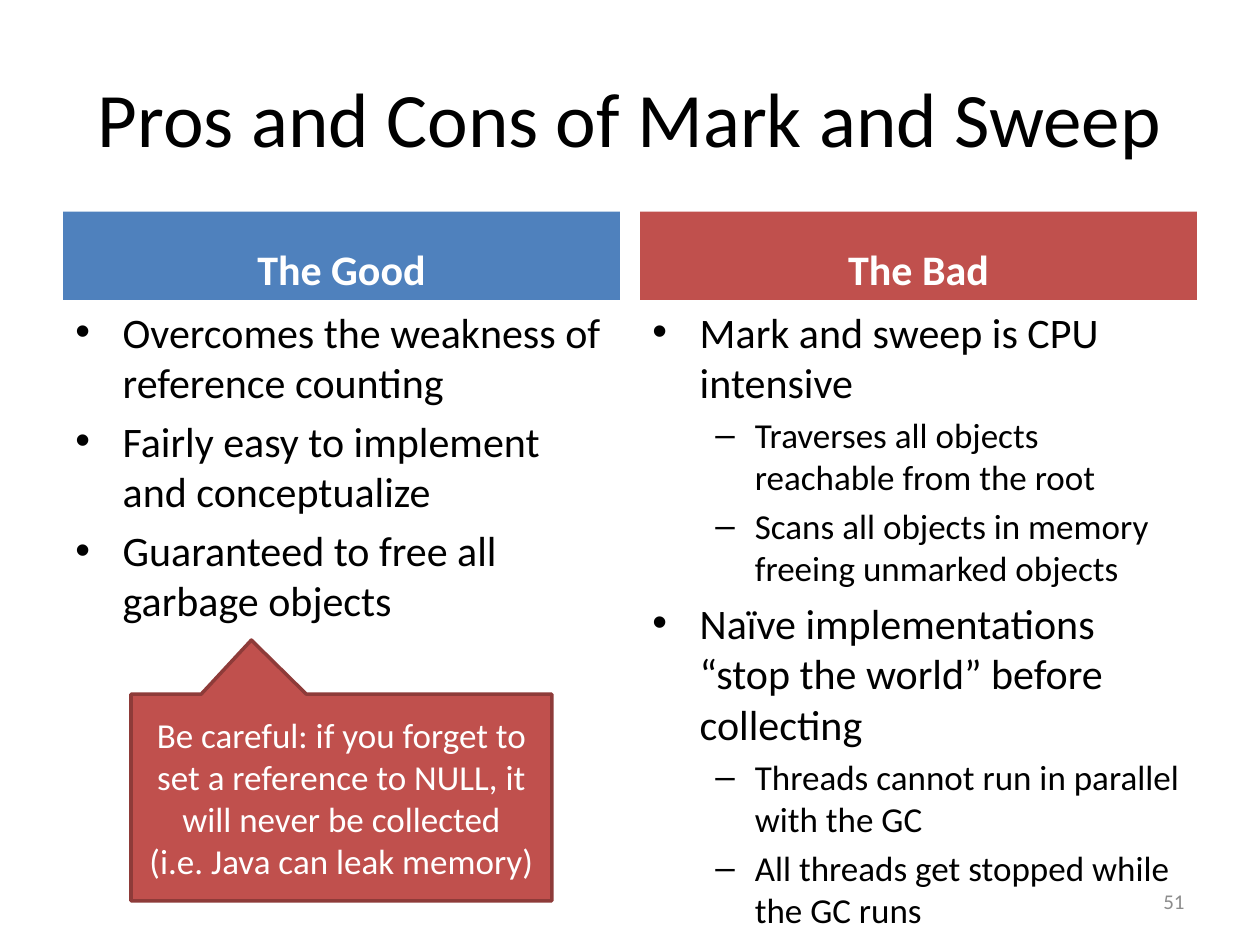
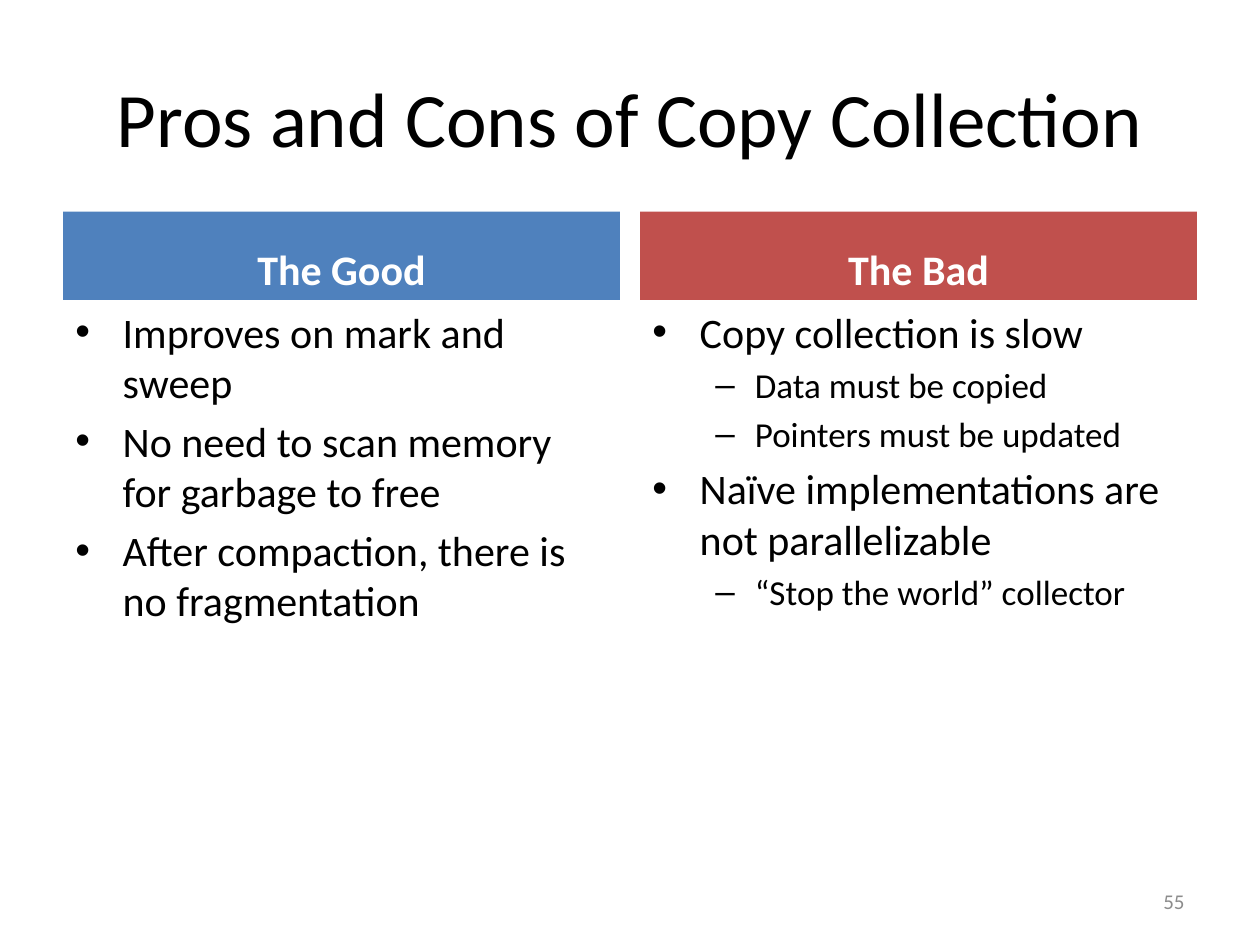
from lxml import etree
from pptx import Presentation
from pptx.dml.color import RGBColor
from pptx.enum import shapes, text
from pptx.oxml.ns import qn
from pptx.util import Pt

FONT = "Calibri"
BLACK, WHITE, GREY = "000000", "FFFFFF", "8C8C8C"
BLUE, RED, DARK_RED = "4F81BD", "C0504D", "8E3B39"

MARGIN = 36
COLUMN_WIDTH = 318.24
RIGHT_COLUMN = 720 - MARGIN - COLUMN_WIDTH
HEADING_TOP, HEADING_HEIGHT = 120.96, 50.4
LIST_TOP = HEADING_TOP + HEADING_HEIGHT

# Per level: bullet, left margin, hanging indent, text size
LEVELS = [("•", 27, 27, 24), ("–", 58.5, 22.5, 20)]

TITLE_ONLY = 5


def rgb(color):
    return RGBColor.from_string(color)


def box(left, top, width, height):
    return Pt(left), Pt(top), Pt(width), Pt(height)


def style(paragraph, size, color, align=text.PP_ALIGN.LEFT, bold=False):
    paragraph.alignment = align
    for run in paragraph.runs:
        run.font.name = FONT
        run.font.size = Pt(size)
        run.font.bold = bold
        run.font.color.rgb = rgb(color)


def fill_frame(frame, lines, size, color, anchor,
               align=text.PP_ALIGN.CENTER, bold=False):
    frame.word_wrap = True
    frame.auto_size = text.MSO_AUTO_SIZE.NONE
    frame.vertical_anchor = anchor
    frame.text = lines
    for paragraph in frame.paragraphs:
        style(paragraph, size, color, align, bold)


def add_panel(slide, preset, place, fill):
    panel = slide.shapes.add_shape(preset, *box(*place))
    panel.shadow.inherit = False
    panel.fill.solid()
    panel.fill.fore_color.rgb = rgb(fill)
    panel.line.fill.background()
    return panel


def add_heading(slide, left, label, fill):
    place = (left, HEADING_TOP, COLUMN_WIDTH, HEADING_HEIGHT)
    heading = add_panel(slide, shapes.MSO_SHAPE.RECTANGLE, place, fill)
    fill_frame(heading.text_frame, label, 24, WHITE,
               text.MSO_ANCHOR.BOTTOM, bold=True)


def add_bullet(paragraph, symbol, margin, hanging):
    properties = paragraph._p.get_or_add_pPr()
    properties.set("marL", str(Pt(margin)))
    properties.set("indent", str(-Pt(hanging)))
    etree.SubElement(properties, qn("a:buFont"), typeface="Arial")
    etree.SubElement(properties, qn("a:buChar"), char=symbol)


def add_points(slide, left, height, points):
    """Add a bulleted list from (level, wording) pairs."""
    place = box(left, LIST_TOP, COLUMN_WIDTH, height)
    frame = slide.shapes.add_textbox(*place).text_frame
    frame.word_wrap = True
    frame.text = "\n".join(wording for _, wording in points)
    for index, (level, _) in enumerate(points):
        symbol, margin, hanging, size = LEVELS[level]
        paragraph = frame.paragraphs[index]
        paragraph.level = level
        add_bullet(paragraph, symbol, margin, hanging)
        paragraph.space_before = Pt(size * 0.2 if index else 0)
        style(paragraph, size, BLACK)


def add_page_number(slide, number):
    place = box(516, 500.5, 168, 28.75)
    frame = slide.shapes.add_textbox(*place).text_frame
    fill_frame(frame, str(number), 12, GREY, text.MSO_ANCHOR.MIDDLE,
               text.PP_ALIGN.RIGHT)


def add_warning(slide, wording):
    warning = add_panel(slide, shapes.MSO_SHAPE.RECTANGULAR_CALLOUT,
                        (74.88, 396.72, 240.48, 118.08), RED)
    warning.adjustments[0] = -0.214
    warning.adjustments[1] = -0.762
    warning.line.color.rgb = rgb(DARK_RED)
    warning.line.width = Pt(2)
    fill_frame(warning.text_frame, wording, 20, WHITE,
               text.MSO_ANCHOR.MIDDLE)


def add_comparison(deck, title, good, bad, number):
    slide = deck.slides.add_slide(deck.slide_layouts[TITLE_ONLY])
    heading = slide.shapes.title
    heading.left, heading.top, heading.width, heading.height = box(
        MARGIN, 21.6, 648, 90)
    fill_frame(heading.text_frame, title, 44, BLACK, text.MSO_ANCHOR.MIDDLE)
    add_heading(slide, MARGIN, "The Good", BLUE)
    add_points(slide, MARGIN, 311, [(0, wording) for wording in good])
    add_heading(slide, RIGHT_COLUMN, "The Bad", RED)
    add_points(slide, RIGHT_COLUMN, 358, bad)
    add_page_number(slide, number)
    return slide


def main():
    deck = Presentation()
    deck.slide_width, deck.slide_height = Pt(720), Pt(540)

    mark_and_sweep = add_comparison(
        deck, "Pros and Cons of Mark and Sweep",
        ["Overcomes the weakness of reference counting",
         "Fairly easy to implement and conceptualize",
         "Guaranteed to free all garbage objects"],
        [(0, "Mark and sweep is CPU intensive"),
         (1, "Traverses all objects reachable from the root"),
         (1, "Scans all objects in memory freeing unmarked objects"),
         (0, "Naïve implementations “stop the world” before collecting"),
         (1, "Threads cannot run in parallel with the GC"),
         (1, "All threads get stopped while the GC runs")],
        51)
    add_warning(mark_and_sweep,
                "Be careful: if you forget to set a reference to NULL, "
                "it will never be collected\n(i.e. Java can leak memory)")

    add_comparison(
        deck, "Pros and Cons of Copy Collection",
        ["Improves on mark and sweep",
         "No need to scan memory for garbage to free",
         "After compaction, there is no fragmentation"],
        [(0, "Copy collection is slow"),
         (1, "Data must be copied"),
         (1, "Pointers must be updated"),
         (0, "Naïve implementations are not parallelizable"),
         (1, "“Stop the world” collector")],
        55)

    deck.save("out.pptx")


if __name__ == "__main__":
    main()
